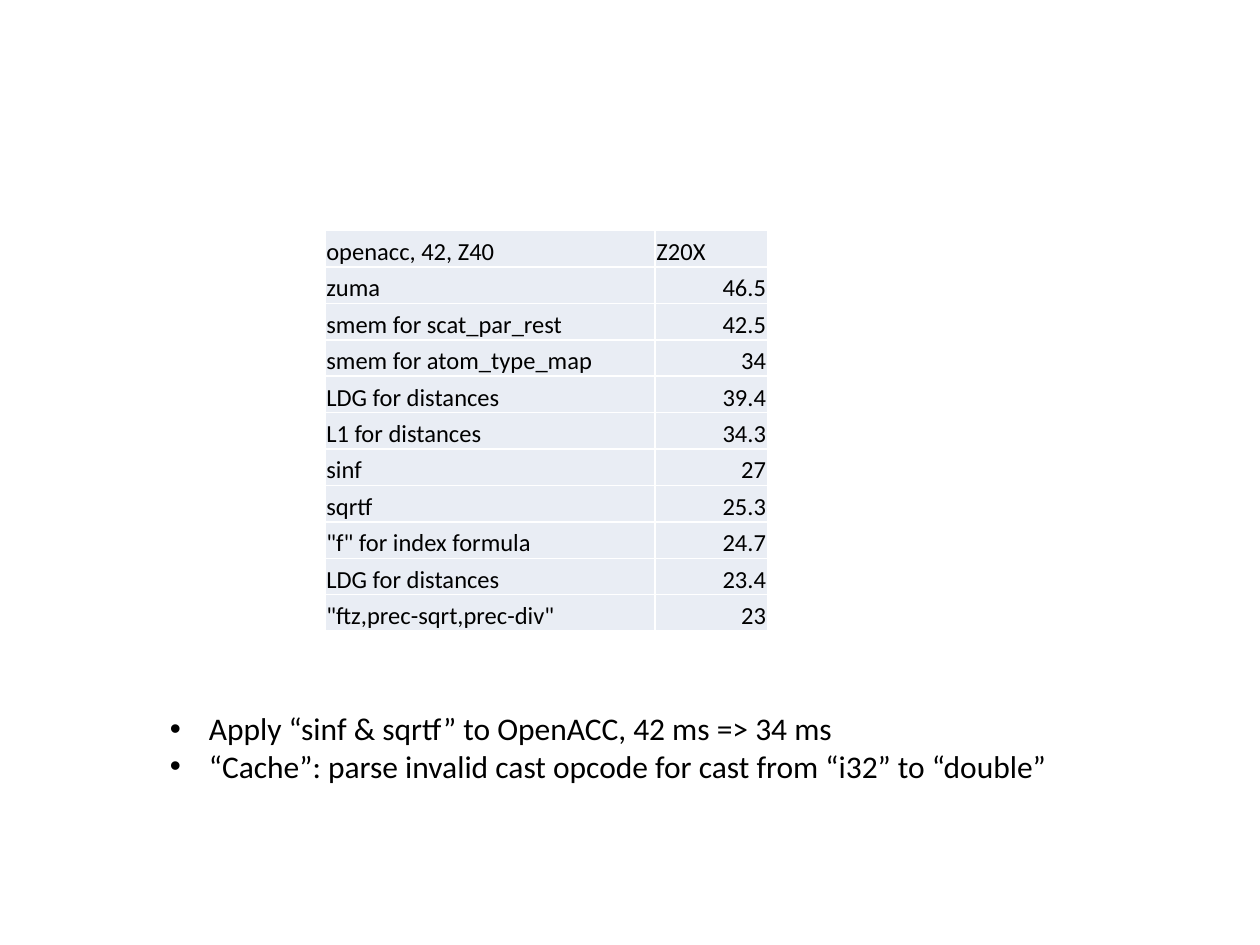
import pptx
import pptx.dml.color
import pptx.enum.text
import pptx.oxml
import pptx.oxml.ns
import pptx.util

ROWS = [
    ("openacc, 42, Z40", "Z20X"),
    ("zuma", "46.5"),
    ("smem for scat_par_rest", "42.5"),
    ("smem for atom_type_map", "34"),
    ("LDG for distances", "39.4"),
    ("L1 for distances", "34.3"),
    ("sinf", "27"),
    ("sqrtf", "25.3"),
    ('"f" for index formula', "24.7"),
    ("LDG for distances", "23.4"),
    ('"ftz,prec-sqrt,prec-div"', "23"),
]
NOTES = [
    "Apply “sinf & sqrtf” to OpenACC, 42 ms => 34 ms",
    "“Cache”: parse invalid cast opcode for cast from “i32” to “double”",
]
COLS = (262, 89)
TABLE = (258, 183, sum(COLS), 318)
BOX = (125, 558, 724, 71)
INDENT = 31
FONT, BLACK, WHITE, PALE = "Calibri", "000000", "FFFFFF", "E9EDF4"


def px(n):
    """Turn px, 100 to the inch, into EMU."""
    return pptx.util.Emu(round(n * 9144))


def rgb(code):
    return pptx.dml.color.RGBColor.from_string(code)


def style(par, size):
    for run in par.runs:
        run.font.name = FONT
        run.font.size = pptx.util.Pt(size)
        run.font.bold = False
        run.font.color.rgb = rgb(BLACK)


def add_xml(parent, tag, inner="", **attrs):
    pairs = "".join(f' {key}="{val}"' for key, val in attrs.items())
    space = pptx.oxml.ns.nsdecls("a")
    parent.append(pptx.oxml.parse_xml(f"<a:{tag} {space}{pairs}>{inner}</a:{tag}>"))


def fill_cell(cell, text, right):
    cell.text_frame.text = text
    par = cell.text_frame.paragraphs[0]
    align = pptx.enum.text.PP_ALIGN
    par.alignment = align.RIGHT if right else align.LEFT
    style(par, 14)
    cell.vertical_anchor = pptx.enum.text.MSO_ANCHOR.BOTTOM
    cell.margin_left = cell.margin_top = cell.margin_right = px(1)
    cell.margin_bottom = 0
    line = f'<a:solidFill><a:srgbClr val="{WHITE}"/></a:solidFill>'
    for side in "LRTB":
        add_xml(cell._tc.get_or_add_tcPr(), "ln" + side, line, w=pptx.util.Pt(1))
    cell.fill.solid()
    cell.fill.fore_color.rgb = rgb(PALE)


def add_times(slide):
    frame = slide.shapes.add_table(len(ROWS), len(COLS), *map(px, TABLE))
    table = frame.table
    table.first_row = table.horz_banding = False
    for col, width in zip(table.columns, COLS):
        col.width = px(width)
    for r, texts in enumerate(ROWS):
        table.rows[r].height = px(TABLE[3] / len(ROWS))
        for c, text in enumerate(texts):
            fill_cell(table.cell(r, c), text, right=r > 0 and c > 0)


def add_notes(slide):
    frame = slide.shapes.add_textbox(*map(px, BOX)).text_frame
    frame.word_wrap = False
    frame.auto_size = pptx.enum.text.MSO_AUTO_SIZE.SHAPE_TO_FIT_TEXT
    frame.text = "\n".join(NOTES)
    for par in frame.paragraphs:
        style(par, 18)
        props = par._p.get_or_add_pPr()
        props.set("marL", str(px(INDENT)))
        props.set("indent", str(px(-INDENT)))
        add_xml(props, "buFont", typeface="Arial")
        add_xml(props, "buChar", char="•")


def main():
    deck = pptx.Presentation()
    deck.slide_width, deck.slide_height = px(1000), px(750)
    slide = deck.slides.add_slide(deck.slide_layouts[6])
    add_times(slide)
    add_notes(slide)
    deck.save("out.pptx")


if __name__ == "__main__":
    main()
